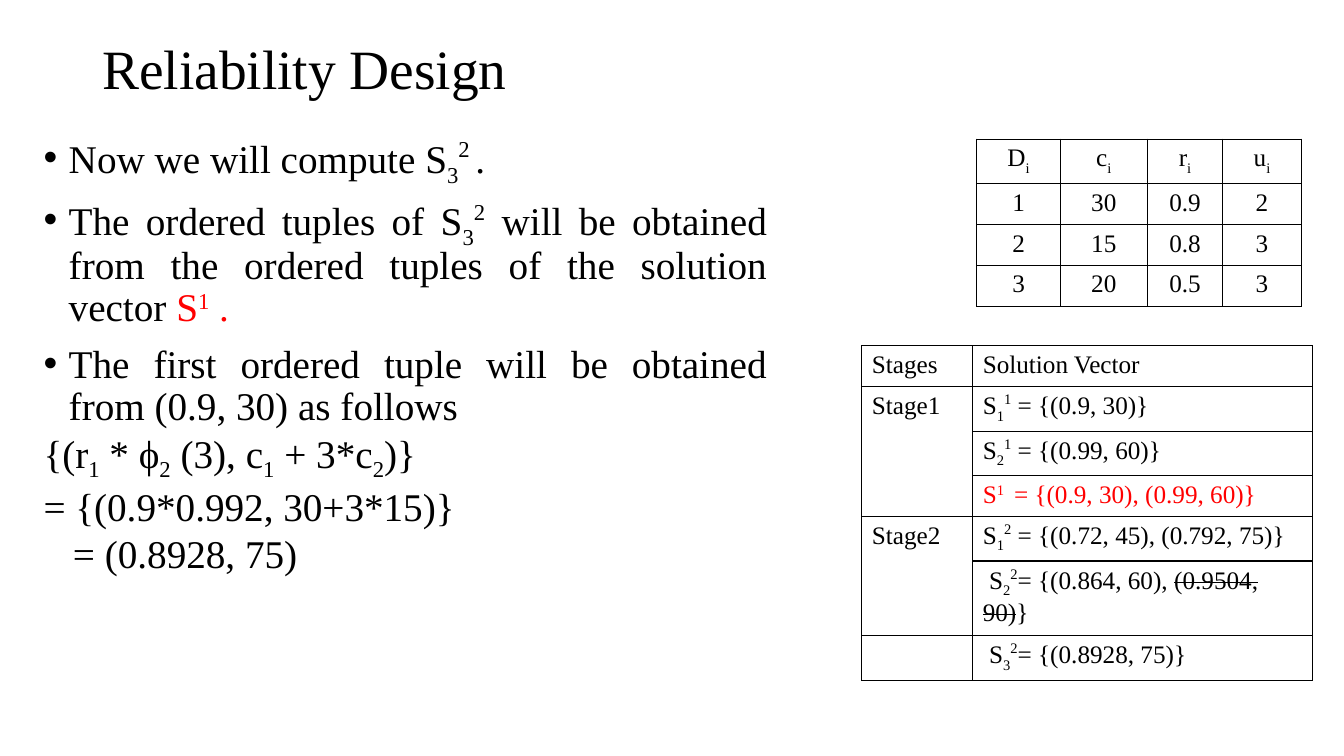
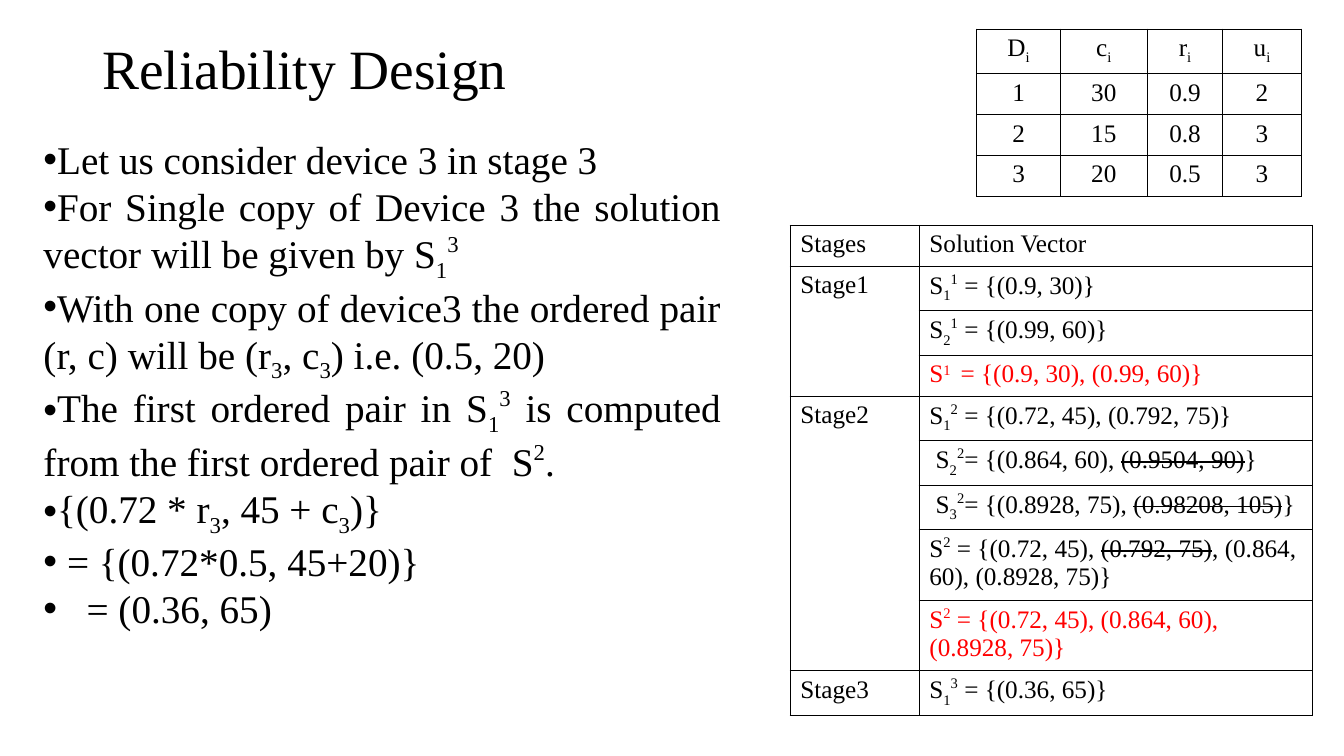
from pptx import Presentation
from pptx.util import Pt
from pptx.dml.color import RGBColor
from pptx.enum.text import PP_ALIGN as Align, MSO_ANCHOR as Anchor
from pptx.oxml.ns import qn
from lxml.etree import SubElement as Sub

BLACK = RGBColor(0, 0, 0)
RED = RGBColor(255, 0, 0)
FONT = "Times New Roman"
ROW = 29.2
# Marks that open a piece of text: attributes of its run
MARKS = {"_": ("baseline", "-25000"), "^": ("baseline", "40000"),
         "'": ("baseline", "30000"), "~": ("strike", "sngStrike")}


def write(para, text, size, align=Align.LEFT):
    """Pieces are split by |, and a piece "!" switches red on or off."""
    para.alignment = align
    font = para.font
    font.name, font.size, font.color.rgb = FONT, Pt(size), BLACK
    red = False
    for piece in text.split("|") if text else []:
        if piece == "!":
            red = not red
            continue
        mark = MARKS.get(piece[:1])
        run = para.add_run()
        run.text = piece[1:] if mark else piece
        if mark:
            run._r.get_or_add_rPr().set(*mark)
        if red:
            run.font.color.rgb = RED


def grid(slide, left, top, widths, rows, align):
    """Table with thin black borders and no fill."""
    frame = slide.shapes.add_table(len(rows), len(widths), Pt(left), Pt(top),
                                   Pt(sum(widths)), Pt(ROW * len(rows)))
    table = frame.table
    table.first_row = table.horz_banding = False
    for col, width in zip(table.columns, widths):
        col.width = Pt(width)
    for y, row in enumerate(rows):
        table.rows[y].height = Pt(ROW)
        for x, text in enumerate(row):
            cell = table.cell(y, x)
            props = cell._tc.get_or_add_tcPr()
            for side in "LRTB":
                line = Sub(props, qn("a:ln" + side), w="12700")
                fill = Sub(line, qn("a:solidFill"))
                Sub(fill, qn("a:srgbClr"), val=str(BLACK))
            cell.fill.background()
            write(cell.text_frame.paragraphs[0], text, 18, align)
    return table


# Content shared by the slides
DEVICES = [["D|_i", "c|_i", "r|_i", "u|_i"],
           ["1", "30", "0.9", "2"],
           ["2", "15", "0.8", "3"],
           ["3", "20", "0.5", "3"]]
HEAD = ("Stages", ["Solution Vector"])
STAGE1 = ("Stage1", ["S|_1|^1| = {(0.9, 30)}",
                     "S|_2|^1| = {(0.99, 60)}",
                     "!|S|'1 | = {(0.9, 30), (0.99, 60)}"])
STAGE2 = ["S|_1|^2| = {(0.72, 45), (0.792, 75)}",
          " S|_2|^2|= {(0.864, 60), |~(0.9504, 90)|}"]

# Body lines: text, bullet, left margin, first-line indent, line spacing, space before
ITEM = (True, 18, -18, 0.9, 10)
PLAIN = (False, 0, 0, 1, 0)
FLUSH = (True, 0, 0, 1, 0)

SLIDES = [
    dict(
        width=531,
        lines=[
            ("Now we will compute S|_3|^2 |.", ITEM),
            ("The ordered tuples of S|_3|^2| will be obtained from the ordered "
             "tuples of the solution vector |!|S|'1| .", ITEM),
            ("The first ordered tuple will be obtained from (0.9, 30) as follows", ITEM),
            ("{(r|_1| * ϕ|_2| (3), c|_1| + 3*c|_2|)}", PLAIN),
            ("= {(0.9*0.992, 30+3*15)}", PLAIN),
            ("= (0.8928, 75)", (False, 21, 0, 1, 0)),
        ],
        top=99.4,
        stages=(615.6, 247, [79.2, 242.6]),
        groups=[HEAD, STAGE1, ("Stage2", STAGE2),
                ("", [" S|_3|^2|= {(0.8928, 75)}"])],
    ),
    dict(
        width=498,
        lines=[
            ("Let us consider device 3 in stage 3", FLUSH),
            ("For Single copy of Device 3 the solution vector will be given by "
             "S|_1|^3", FLUSH),
            ("With one copy of device3 the ordered pair (r, c) will be "
             "(r|_3|, c|_3|) i.e. (0.5, 20)", FLUSH),
            ("The first ordered pair in S|_1|^3| is computed from the first "
             "ordered pair of  S|^2|.", FLUSH),
            ("{(0.72 * r|_3|, 45 + c|_3|)}", FLUSH),
            ("= {(0.72*0.5, 45+20)}", (True, 16.8, -16.8, 1, 0)),
            ("= (0.36, 65)", (True, 30.8, -30.8, 1, 0)),
        ],
        top=20.8,
        stages=(564.5, 161, [92.2, 280.8]),
        groups=[HEAD, STAGE1,
                ("Stage2", STAGE2 + [
                    " S|_3|^2|= {(0.8928, 75), |~(0.98208, 105)|}",
                    "S|^2| = {(0.72, 45), |~(0.792, 75)|, (0.864, 60), (0.8928, 75)}",
                    "!|S|^2| = {(0.72, 45), (0.864, 60), (0.8928, 75)}"]),
                ("Stage3", ["S|_1|^3| = {(0.36, 65)}"])],
    ),
]

deck = Presentation()
deck.slide_width, deck.slide_height = Pt(960), Pt(540)

for page in SLIDES:
    slide = deck.slides.add_slide(deck.slide_layouts[6])

    # Title
    box = slide.shapes.add_textbox(Pt(66), Pt(29), Pt(426), Pt(44)).text_frame
    box.word_wrap = True
    box.vertical_anchor = Anchor.MIDDLE
    title = box.paragraphs[0]
    title.line_spacing = 0.9
    write(title, "Reliability Design", 39.6)

    # Device table
    grid(slide, 697.7, page["top"], [59.8, 62, 54, 56], DEVICES, Align.CENTER)

    # Stage table, one merged label for each stage
    rows = [[name if i == 0 else "", text]
            for name, texts in page["groups"] for i, text in enumerate(texts)]
    table = grid(slide, *page["stages"], rows, Align.LEFT)
    first = 0
    for name, texts in page["groups"]:
        last = first + len(texts) - 1
        if last > first:
            table.cell(first, 0).merge(table.cell(last, 0))
        first = last + 1

    # Body text
    body = slide.shapes.add_textbox(Pt(24), Pt(93), Pt(page["width"]), Pt(418)).text_frame
    body.word_wrap = True
    for i, (text, (bullet, margin, indent, spacing, before)) in enumerate(page["lines"]):
        para = body.add_paragraph() if i else body.paragraphs[0]
        para.line_spacing = spacing
        para.space_before = Pt(before if i else 0)
        props = para._p.get_or_add_pPr()
        props.set("marL", str(Pt(margin)))
        props.set("indent", str(Pt(indent)))
        if bullet:
            Sub(props, qn("a:buFont"), typeface="Arial")
            Sub(props, qn("a:buChar"), char="•")
        write(para, text, 28, Align.JUSTIFY)

deck.save("out.pptx")
